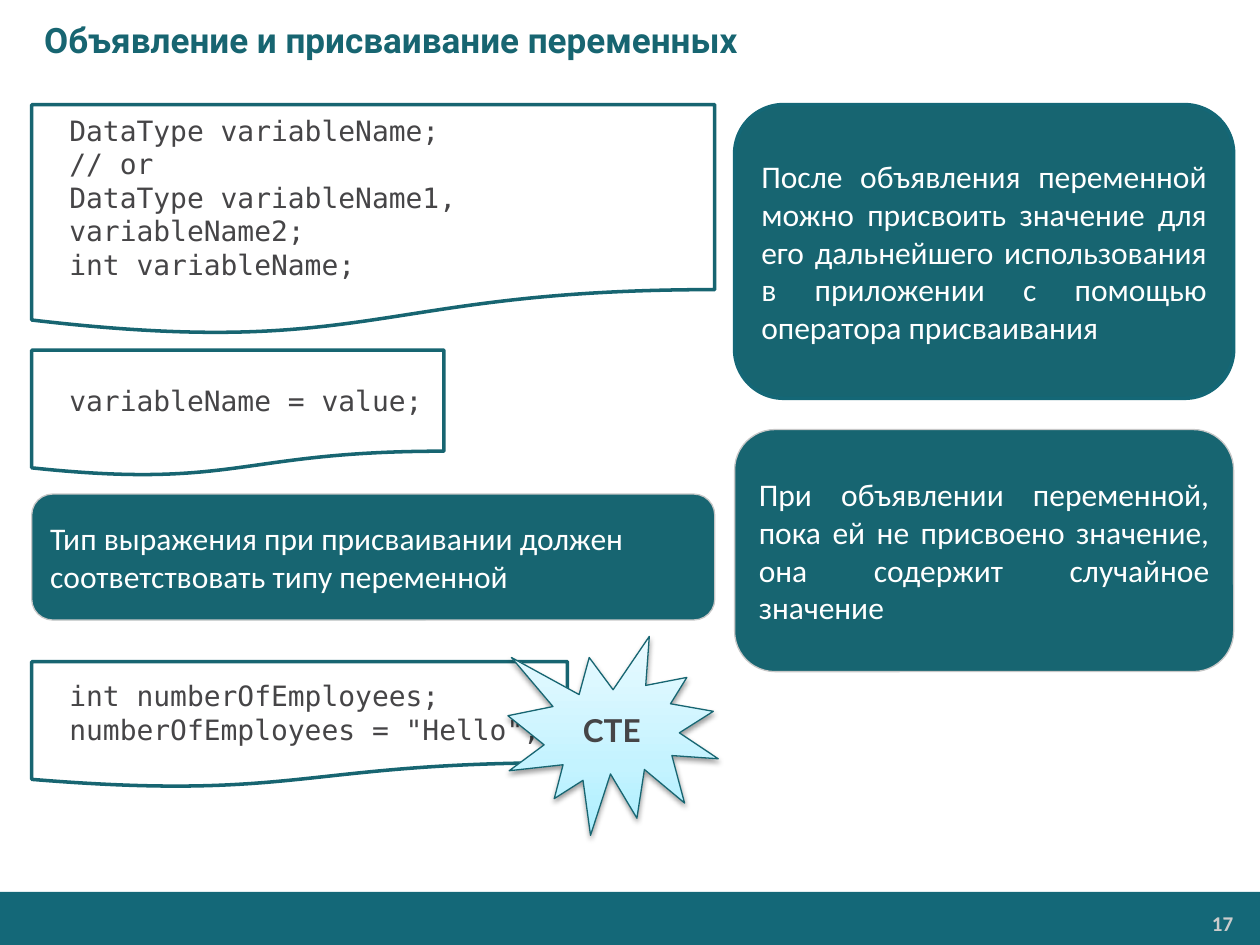
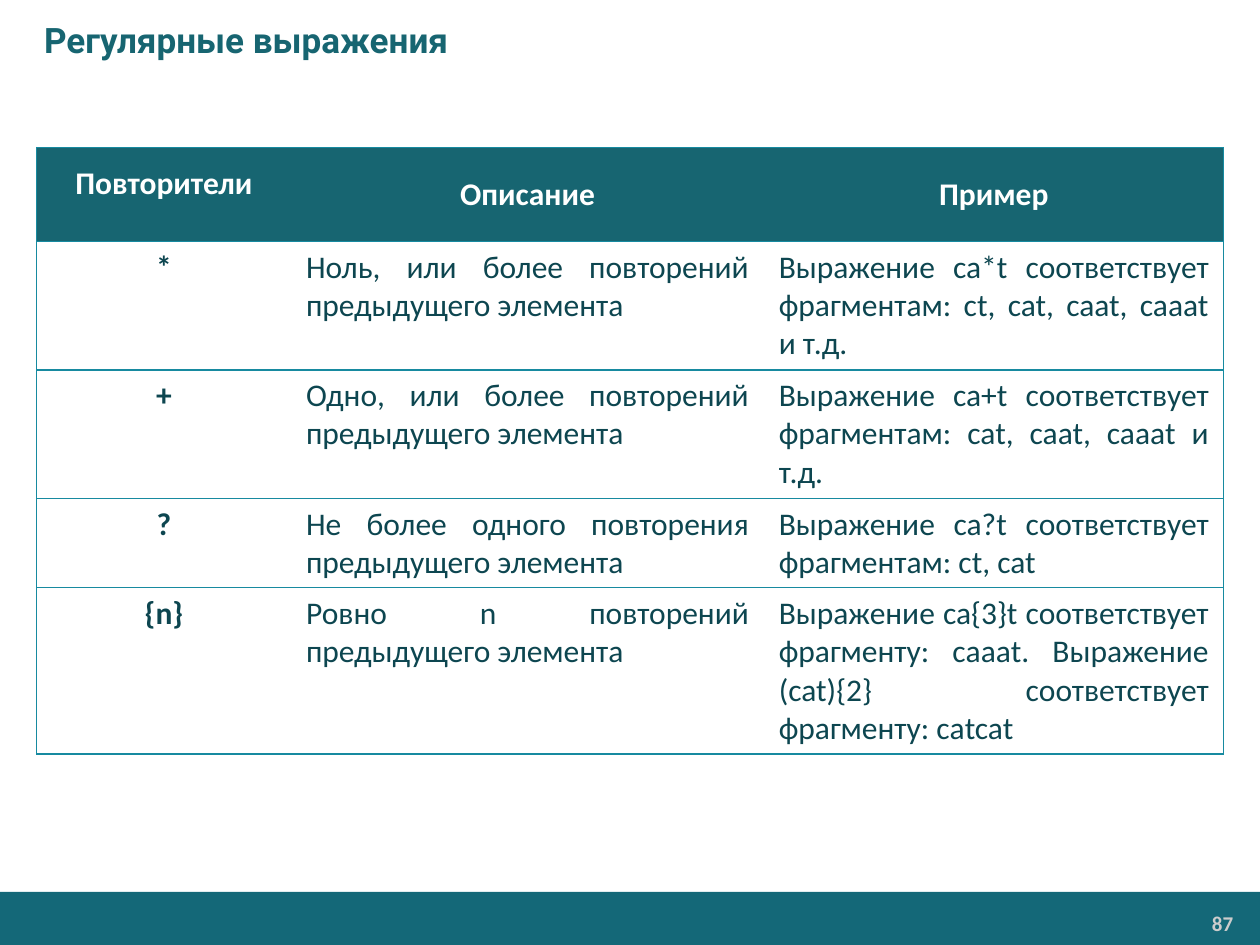
from dataclasses import dataclass

from pptx import Presentation
from pptx.dml.color import RGBColor
from pptx.enum.shapes import MSO_SHAPE
from pptx.enum.text import MSO_ANCHOR, PP_ALIGN
from pptx.oxml import parse_xml
from pptx.oxml.ns import nsdecls, qn
from pptx.util import Cm, Pt

RECTANGLE = MSO_SHAPE.RECTANGLE
ROUNDED = MSO_SHAPE.ROUNDED_RECTANGLE
DOCUMENT = MSO_SHAPE.FLOWCHART_DOCUMENT
BURST = MSO_SHAPE.EXPLOSION1
LEFT, CENTER, RIGHT, JUSTIFY = PP_ALIGN.LEFT, PP_ALIGN.CENTER, PP_ALIGN.RIGHT, PP_ALIGN.JUSTIFY
TOP, MIDDLE = MSO_ANCHOR.TOP, MSO_ANCHOR.MIDDLE

WHITE = RGBColor(0xFF, 0xFF, 0xFF)
TEAL = RGBColor(0x17, 0x65, 0x71)
BAND_TEAL = RGBColor(0x14, 0x68, 0x78)
NOTE_EDGE = RGBColor(0x14, 0x67, 0x76)
GRID_TEAL = RGBColor(0x17, 0x8A, 0xA0)
DARK_TEAL = RGBColor(0x0D, 0x46, 0x50)
CODE_GREY = RGBColor(0x46, 0x45, 0x47)
EDGE_GREY = RGBColor(0xC8, 0xC8, 0xC8)
NUMBER_GREY = RGBColor(0xCC, 0xCC, 0xCC)
BURST_STOPS = ((0, "ACEFFF"), (35, "C4F3FF"), (100, "E9FAFF"))

PAGE_WIDTH, PAGE_HEIGHT = Cm(25.4), Cm(19.05)
LEFT_EDGE, RIGHT_EDGE = 0.64, 14.81
LEFT_WIDTH, RIGHT_WIDTH = 13.77, 10.06


@dataclass
class TextStyle:
    font: str
    size: int
    color: RGBColor
    bold: bool = False
    align: PP_ALIGN = LEFT


@dataclass
class CodeSheet:
    top: float
    width: float
    height: float
    lines: tuple[str, ...]


@dataclass
class Note:
    left: float
    top: float
    width: float
    height: float
    text: str
    align: PP_ALIGN = JUSTIFY
    edge: RGBColor = EDGE_GREY
    edge_width: float = 0.75


TITLE = TextStyle("Roboto", 20, TEAL, bold=True)
NUMBER = TextStyle("Calibri", 12, NUMBER_GREY, bold=True, align=RIGHT)
CODE = TextStyle("DejaVu Sans Mono", 16, CODE_GREY)
BURST_LABEL = TextStyle("Lato", 18, CODE_GREY, bold=True, align=CENTER)
HEADER = TextStyle("Calibri", 18, WHITE, bold=True, align=CENTER)
SYMBOL = TextStyle("Calibri", 18, DARK_TEAL, bold=True, align=CENTER)
BODY = TextStyle("Calibri", 18, DARK_TEAL, align=JUSTIFY)

CODE_SHEETS = (
    CodeSheet(2.11, LEFT_WIDTH, 4.65, (
        "DataType variableName;",
        "// or",
        "DataType variableName1, variableName2;",
        "int variableName;",
    )),
    CodeSheet(7.06, 8.31, 2.54, ("variableName = value;",)),
    CodeSheet(13.34, 10.8, 2.54, (
        "int numberOfEmployees;",
        'numberOfEmployees = "Hello";',
    )),
)

NOTES = (
    Note(RIGHT_EDGE, 2.11, RIGHT_WIDTH, 5.92,
         "После объявления переменной можно присвоить значение для его дальнейшего "
         "использования в приложении с помощью оператора присваивания",
         edge=NOTE_EDGE, edge_width=2),
    Note(LEFT_EDGE, 9.96, LEFT_WIDTH, 2.54,
         "Тип выражения при присваивании должен соответствовать типу переменной",
         align=LEFT),
    Note(RIGHT_EDGE, 8.66, RIGHT_WIDTH, 4.88,
         "При объявлении переменной, пока ей не присвоено значение, она содержит "
         "случайное значение"),
)

COLUMN_WIDTHS = (5.13, 9.53, 9.27)
ROW_HEIGHTS = (1.9, 2.59, 2.59, 1.8, 3.35)
QUANTIFIERS = (
    ("Повторители", "Описание", "Пример"),
    ("*", "Ноль, или более повторений предыдущего элемента",
     "Выражение ca*t соответствует фрагментам: ct, cat, caat, caaat и т.д."),
    ("+", "Одно, или более повторений предыдущего элемента",
     "Выражение ca+t соответствует фрагментам: cat, caat, caaat и т.д."),
    ("?", "Не более одного повторения предыдущего элемента",
     "Выражение ca?t соответствует фрагментам: ct, cat"),
    ("{n}", "Ровно n повторений предыдущего элемента",
     "Выражение ca{3}t соответствует фрагменту: cаааt. "
     "Выражение (cat){2} соответствует фрагменту: cаtcat"),
)


def write(frame, lines: tuple[str, ...], style: TextStyle, anchor=MIDDLE) -> None:
    """Fill a text frame, one paragraph per line."""
    frame.word_wrap = True
    frame.vertical_anchor = anchor
    for index, line in enumerate(lines):
        para = frame.paragraphs[0] if index == 0 else frame.add_paragraph()
        para.text = line
        para.alignment = style.align
        para.font.name = style.font
        para.font.size = Pt(style.size)
        para.font.bold = style.bold
        para.font.color.rgb = style.color


def add_panel(page, kind, left: float, top: float, width: float, height: float,
              fill: RGBColor, edge: RGBColor | None = None, edge_width: float = 0.75):
    panel = page.shapes.add_shape(kind, Cm(left), Cm(top), Cm(width), Cm(height))
    panel.shadow.inherit = False
    panel.fill.solid()
    panel.fill.fore_color.rgb = fill
    if edge is None:
        panel.line.fill.background()
    else:
        panel.line.color.rgb = edge
        panel.line.width = Pt(edge_width)
    return panel


def add_page(deck, title: str, number: int):
    """Start a page with the footer band, page number and title."""
    page = deck.slides.add_slide(deck.slide_layouts[6])
    add_panel(page, RECTANGLE, 0, 17.98, 25.4, 1.07, BAND_TEAL)

    number_box = page.shapes.add_textbox(Cm(20.9), Cm(18.26), Cm(4.14), Cm(0.71))
    frame = number_box.text_frame
    frame.margin_left = frame.margin_right = Cm(0.18)
    frame.margin_top = frame.margin_bottom = Cm(0.1)
    write(frame, (str(number),), NUMBER, TOP)

    title_box = page.shapes.add_textbox(0, 0, PAGE_WIDTH, Cm(1.6))
    title_box.text_frame.margin_left = Cm(0.89)
    write(title_box.text_frame, (title,), TITLE)
    return page


def add_code_sheet(page, sheet: CodeSheet) -> None:
    panel = add_panel(page, DOCUMENT, LEFT_EDGE, sheet.top, sheet.width, sheet.height,
                      WHITE, TEAL, 2)
    panel.text_frame.margin_left = Cm(0.76)
    write(panel.text_frame, sheet.lines, CODE)


def add_note(page, note: Note) -> None:
    panel = add_panel(page, ROUNDED, note.left, note.top, note.width, note.height,
                      TEAL, note.edge, note.edge_width)
    write(panel.text_frame, (note.text,), TextStyle("Calibri", 18, WHITE, align=note.align))


def add_error_burst(page, label: str) -> None:
    """Star with a three-stop gradient and a soft shadow."""
    burst = add_panel(page, BURST, 10.24, 12.83, 4.24, 4.01, WHITE, TEAL)
    stops = "".join(f'<a:gs pos="{place * 1000}"><a:srgbClr val="{color}"/></a:gs>'
                    for place, color in BURST_STOPS)
    properties = burst.element.spPr
    properties.replace(properties.find(qn("a:solidFill")), parse_xml(
        f'<a:gradFill {nsdecls("a")} rotWithShape="1"><a:gsLst>{stops}</a:gsLst>'
        '<a:lin ang="16200000" scaled="0"/></a:gradFill>'))
    properties.find(qn("a:effectLst")).append(parse_xml(
        f'<a:outerShdw {nsdecls("a")} blurRad="{Pt(3.1)}" dist="{Pt(1.6)}" dir="5400000" '
        'rotWithShape="0"><a:srgbClr val="000000"><a:alpha val="38000"/></a:srgbClr>'
        '</a:outerShdw>'))
    write(burst.text_frame, (label,), BURST_LABEL)


def set_borders(cell, visible_sides: str) -> None:
    """Draw the named sides (L, R, T, B) and hide the others."""
    properties = cell._tc.get_or_add_tcPr()
    for index, side in enumerate("LRTB"):
        paint = (f'<a:solidFill><a:srgbClr val="{GRID_TEAL}"/></a:solidFill>'
                 if side in visible_sides else "<a:noFill/>")
        properties.insert(index, parse_xml(
            f'<a:ln{side} {nsdecls("a")} w="{Pt(0.75)}">{paint}</a:ln{side}>'))


def add_quantifier_table(page) -> None:
    table = page.shapes.add_table(
        len(ROW_HEIGHTS), len(COLUMN_WIDTHS), Cm(0.74), Cm(2.97),
        Cm(sum(COLUMN_WIDTHS)), Cm(sum(ROW_HEIGHTS))).table
    for column, width in zip(table.columns, COLUMN_WIDTHS):
        column.width = Cm(width)
    last_column = len(COLUMN_WIDTHS) - 1
    for row_index, texts in enumerate(QUANTIFIERS):
        table.rows[row_index].height = Cm(ROW_HEIGHTS[row_index])
        is_header = row_index == 0
        for column_index, text in enumerate(texts):
            cell = table.cell(row_index, column_index)
            cell.margin_left = cell.margin_right = Cm(0.3)
            cell.margin_top = cell.margin_bottom = Cm(0.13)
            cell.vertical_anchor = MIDDLE if is_header else TOP
            cell.fill.solid()
            cell.fill.fore_color.rgb = TEAL if is_header else WHITE
            style = HEADER if is_header else SYMBOL if column_index == 0 else BODY
            write(cell.text_frame, (text,), style, None)
            outer = {0: "L", last_column: "R"}.get(column_index, "")
            set_borders(cell, "TB" + outer)

    # The first heading sits higher because of its tight line spacing
    first = table.cell(0, 0)
    first.margin_left = first.margin_right = Cm(0.23)
    first.margin_top = first.margin_bottom = 0
    para = first.text_frame.paragraphs[0]
    para.line_spacing = Pt(10)
    para.space_after = Pt(2)


def main() -> None:
    deck = Presentation()
    deck.slide_width, deck.slide_height = PAGE_WIDTH, PAGE_HEIGHT

    # Variables
    page = add_page(deck, "Объявление и присваивание переменных", 17)
    for sheet in CODE_SHEETS:
        add_code_sheet(page, sheet)
    for note in NOTES:
        add_note(page, note)
    add_error_burst(page, "CTE")

    # Regular expressions
    page = add_page(deck, "Регулярные выражения", 87)
    add_quantifier_table(page)

    deck.save("out.pptx")


if __name__ == "__main__":
    main()
